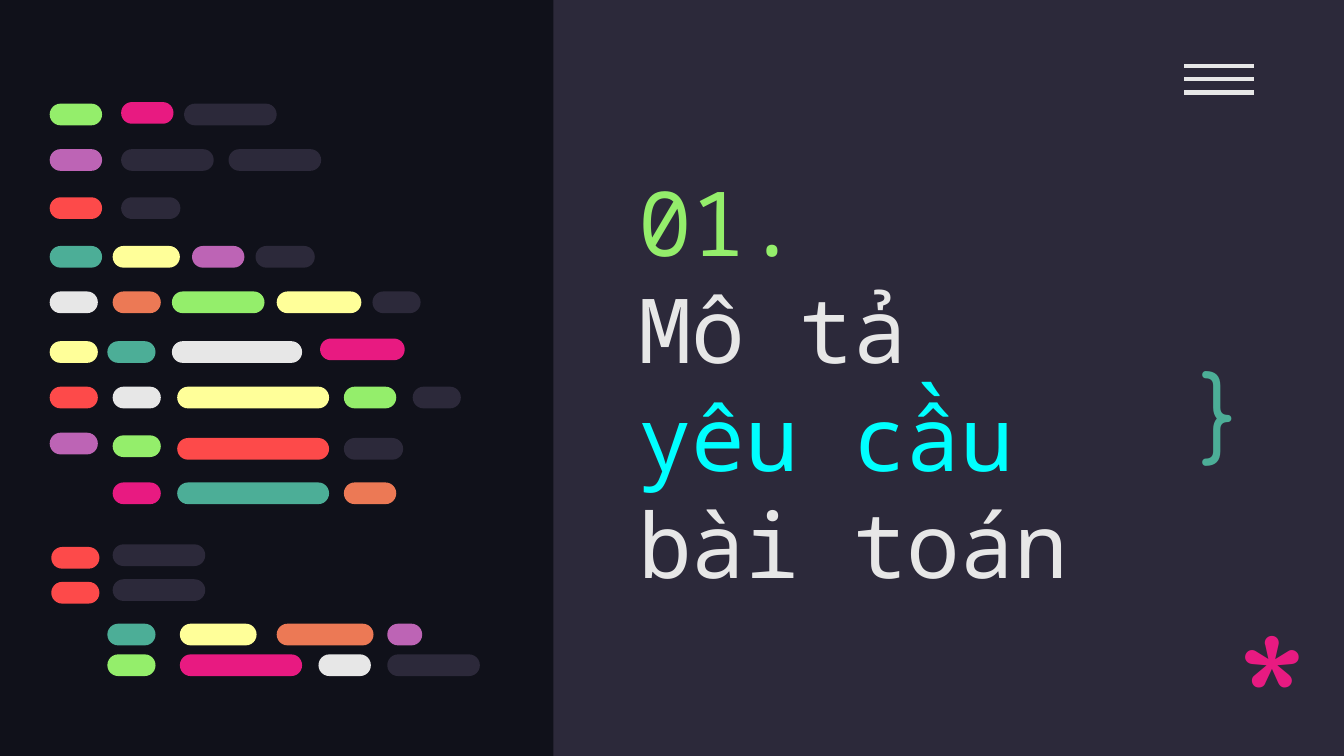
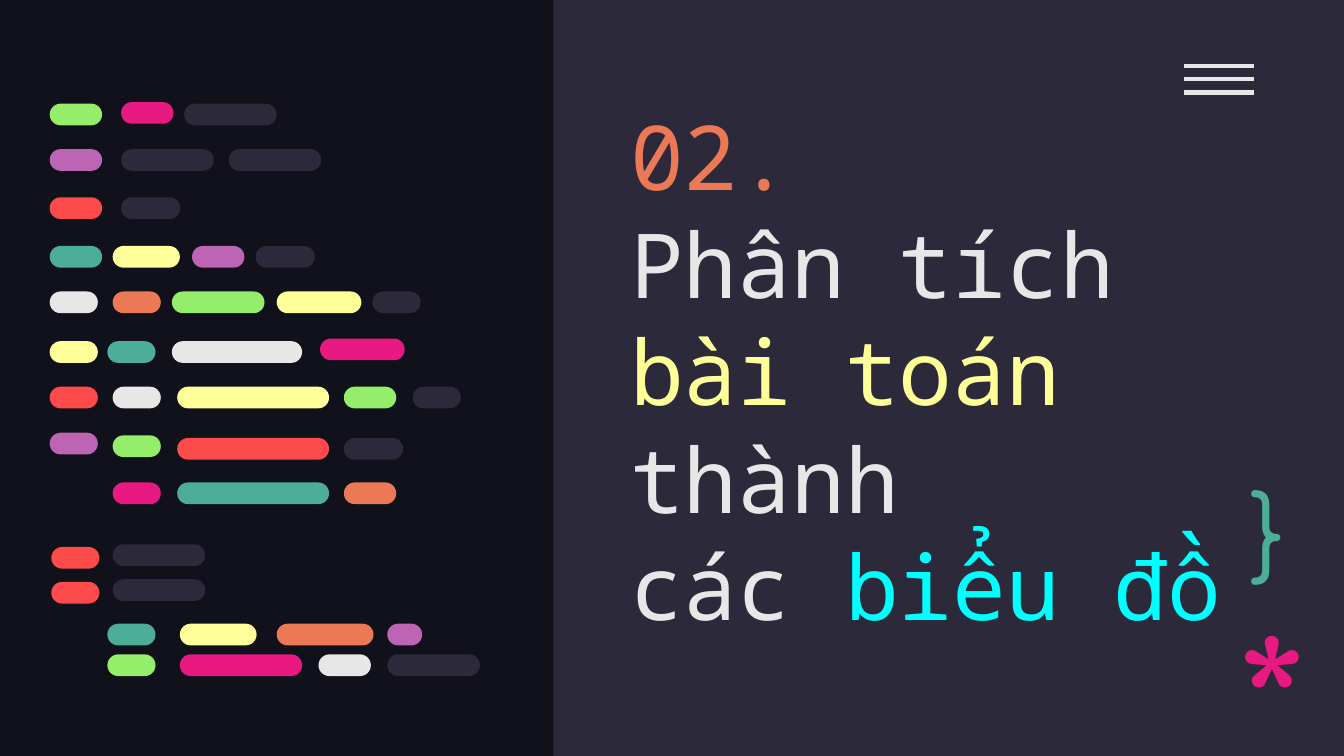
from pptx import Presentation
from pptx.dml.color import RGBColor
from pptx.enum import shapes, text
from pptx.util import Cm, Pt
from pptx.oxml import ns
from lxml import etree

NIGHT = RGBColor(0x10, 0x11, 0x1A)
SLATE = RGBColor(0x2C, 0x29, 0x3A)
WHITE = RGBColor(0xE7, 0xE7, 0xE7)
GREEN = RGBColor(0x94, 0xEE, 0x6B)
PINK = RGBColor(0xE8, 0x1A, 0x81)
MAUVE = RGBColor(0xBD, 0x64, 0xB5)
RED = RGBColor(0xFD, 0x4A, 0x4A)
TEAL = RGBColor(0x4C, 0xAE, 0x97)
LEMON = RGBColor(0xFF, 0xFF, 0x99)
CORAL = RGBColor(0xEC, 0x79, 0x55)
CYAN = RGBColor(0x00, 0xFF, 0xFF)

MONO = "Noto Sans Mono"
ROUND = "Comfortaa"
WIDE, HIGH = 25.4, 14.29
PANEL = (10.46, 0, WIDE - 10.46, HIGH)
MENU = (22.38, 1.24, 1.32, 0.51)
CODE = (0.94, 1.93)
STAR = (23.14, 11.05, 1.45, 2.21)
PILL = 0.41

ROWS = [
    (0.03, [(0, 0.99, GREEN), (2.54, 1.75, SLATE)]),
    (0, [(1.35, 0.99, PINK)]),
    (0.89, [(0, 0.99, MAUVE), (1.35, 1.75, SLATE), (3.38, 1.75, SLATE)]),
    (1.8, [(0, 0.99, RED), (1.35, 1.12, SLATE)]),
    (2.72, [(0, 0.99, TEAL), (1.19, 1.27, LEMON), (2.69, 0.99, MAUVE),
            (3.89, 1.12, SLATE)]),
    (3.58, [(0, 0.91, WHITE), (1.19, 0.91, CORAL), (2.31, 1.75, GREEN),
            (4.29, 1.6, LEMON), (6.1, 0.91, SLATE)]),
    (4.52, [(0, 0.91, LEMON), (1.09, 0.91, TEAL), (2.31, 2.46, WHITE)]),
    (4.47, [(5.11, 1.6, PINK)]),
    (5.38, [(0, 0.91, RED), (1.19, 0.91, WHITE), (2.41, 2.87, LEMON),
            (5.56, 0.99, GREEN), (6.86, 0.91, SLATE)]),
    (6.25, [(0, 0.91, MAUVE)]),
    (6.3, [(1.19, 0.91, GREEN)]),
    (6.35, [(2.41, 2.87, RED), (5.56, 1.12, SLATE)]),
    (7.19, [(1.19, 0.91, PINK), (2.41, 2.87, TEAL), (5.56, 0.99, CORAL)]),
    (8.36, [(1.19, 1.75, SLATE)]),
    (8.41, [(0.03, 0.91, RED)]),
    (9.02, [(1.19, 1.75, SLATE)]),
    (9.07, [(0.03, 0.91, RED)]),
    (9.86, [(1.09, 0.91, TEAL), (2.46, 1.45, LEMON), (4.29, 1.83, CORAL),
            (6.38, 0.66, MAUVE)]),
    (10.44, [(1.09, 0.91, GREEN), (2.46, 2.31, PINK), (5.08, 0.99, WHITE),
             (6.38, 1.75, SLATE)]),
]

SLIDES = [
    ((11.81, 6.07, 11.68, 5.46), (22.45, 6.38, 1.45, 2.41), [
        [("01.", GREEN)],
        [("Mô tả", WHITE)],
        [("yêu cầu", CYAN)],
        [("bài toán", WHITE)],
    ]),
    ((11.66, 3.78, 13.16, 8.54), (23.39, 8.64, 1.45, 2.41), [
        [("02.", CORAL)],
        [("Phân tích ", WHITE), ("bài toán", LEMON), (" thành", WHITE)],
        [("các ", WHITE), ("biểu đồ", CYAN)],
    ]),
]


def block(parent, kind, box, color):
    shape = parent.shapes.add_shape(kind, *map(Cm, box))
    shape.shadow.inherit = False
    shape.fill.solid()
    shape.fill.fore_color.rgb = color
    shape.line.fill.background()
    return shape


def menu(slide, box):
    left, top, width, height = box
    group = slide.shapes.add_group_shape()
    for step in range(3):
        y = Cm(top + step * height / 2)
        bar = group.shapes.add_connector(
            shapes.MSO_CONNECTOR.STRAIGHT, Cm(left), y, Cm(left + width), y)
        bar.line.color.rgb = WHITE
        bar.line.width = Pt(2.25)
        etree.SubElement(bar._element.spPr, ns.qn("a:effectLst"))


def code(slide, spot):
    left, top = spot
    group = slide.shapes.add_group_shape()
    for y, pills in ROWS:
        for x, width, color in pills:
            pill = block(group, shapes.MSO_SHAPE.ROUNDED_RECTANGLE,
                         (left + x, top + y, width, PILL), color)
            pill.adjustments[0] = 0.5


def label(slide, box, lines, font, size, anchor=text.MSO_ANCHOR.TOP):
    frame = slide.shapes.add_textbox(*map(Cm, box)).text_frame
    frame.word_wrap = True
    frame.vertical_anchor = anchor
    frame.margin_left = frame.margin_right = Cm(0.25)
    frame.margin_top = frame.margin_bottom = Cm(0.25)
    for index, parts in enumerate(lines):
        para = frame.add_paragraph() if index else frame.paragraphs[0]
        para.font.name = font
        para.font.size = Pt(size)
        if len(parts) == 1:
            para.font.color.rgb = parts[0][1]
        for words, color in parts:
            run = para.add_run()
            run.text = words
            if len(parts) > 1:
                run.font.color.rgb = color


def section(deck, title, brace, lines):
    slide = deck.slides.add_slide(deck.slide_layouts[6])
    block(slide, shapes.MSO_SHAPE.RECTANGLE, PANEL, SLATE)
    menu(slide, MENU)
    label(slide, title, lines, MONO, 48, text.MSO_ANCHOR.BOTTOM)
    label(slide, STAR, [[("*", PINK)]], ROUND, 96)
    code(slide, CODE)
    label(slide, brace, [[("}", TEAL)]], ROUND, 50)


def main():
    deck = Presentation()
    deck.slide_width, deck.slide_height = Cm(WIDE), Cm(HIGH)
    back = deck.slide_master.background.fill
    back.solid()
    back.fore_color.rgb = NIGHT
    for title, brace, lines in SLIDES:
        section(deck, title, brace, lines)
    deck.save("out.pptx")


if __name__ == "__main__":
    main()
